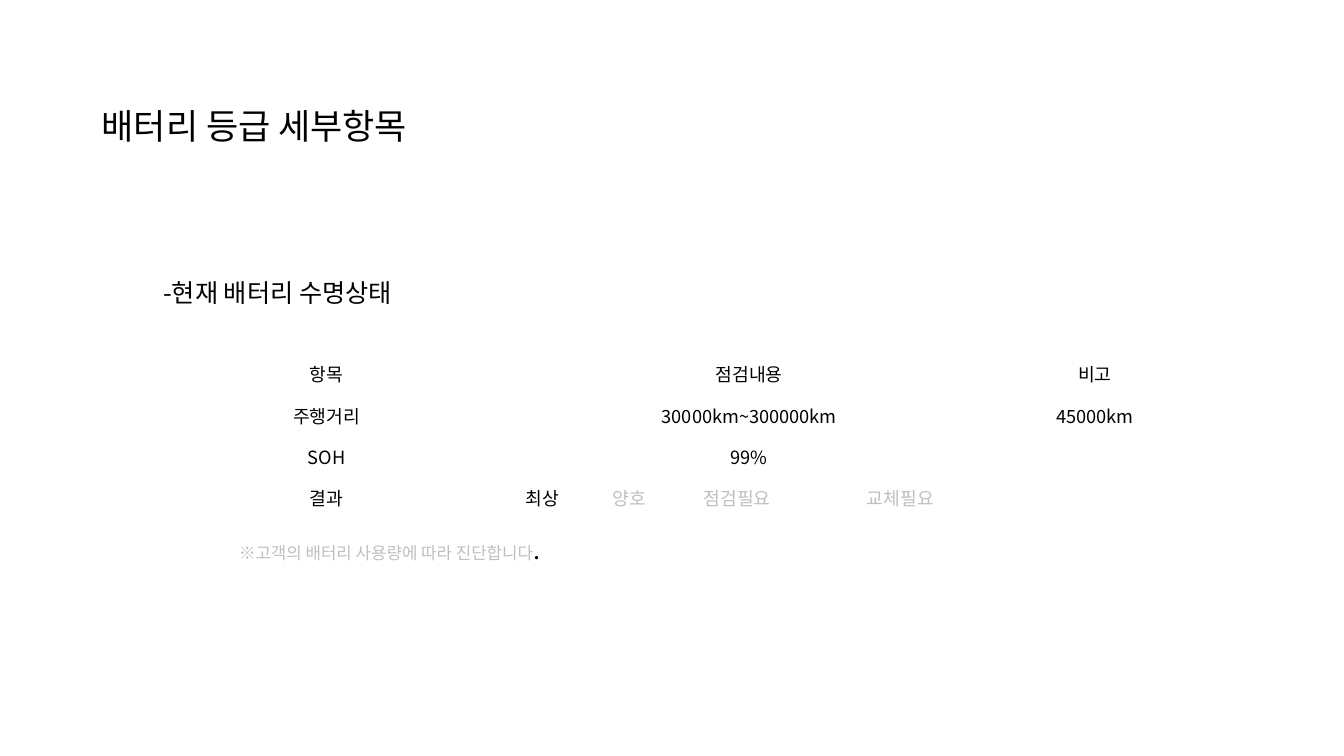
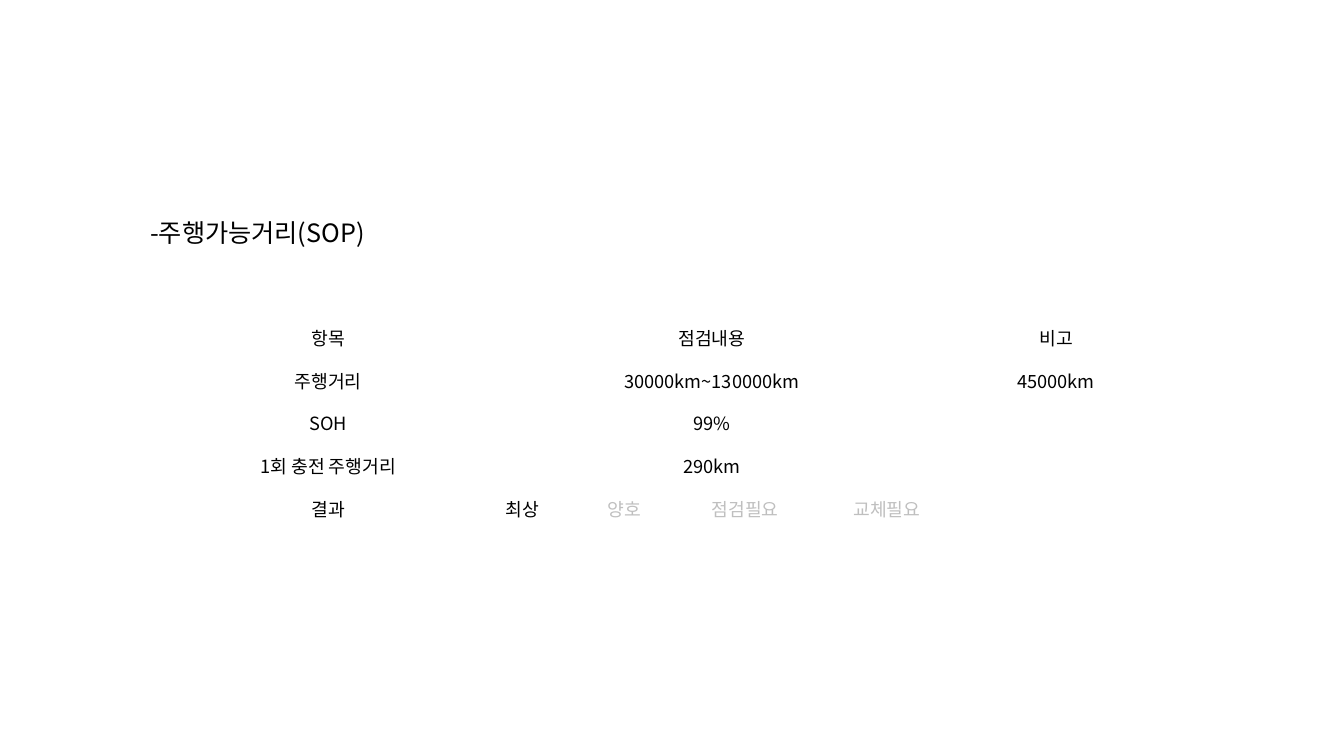
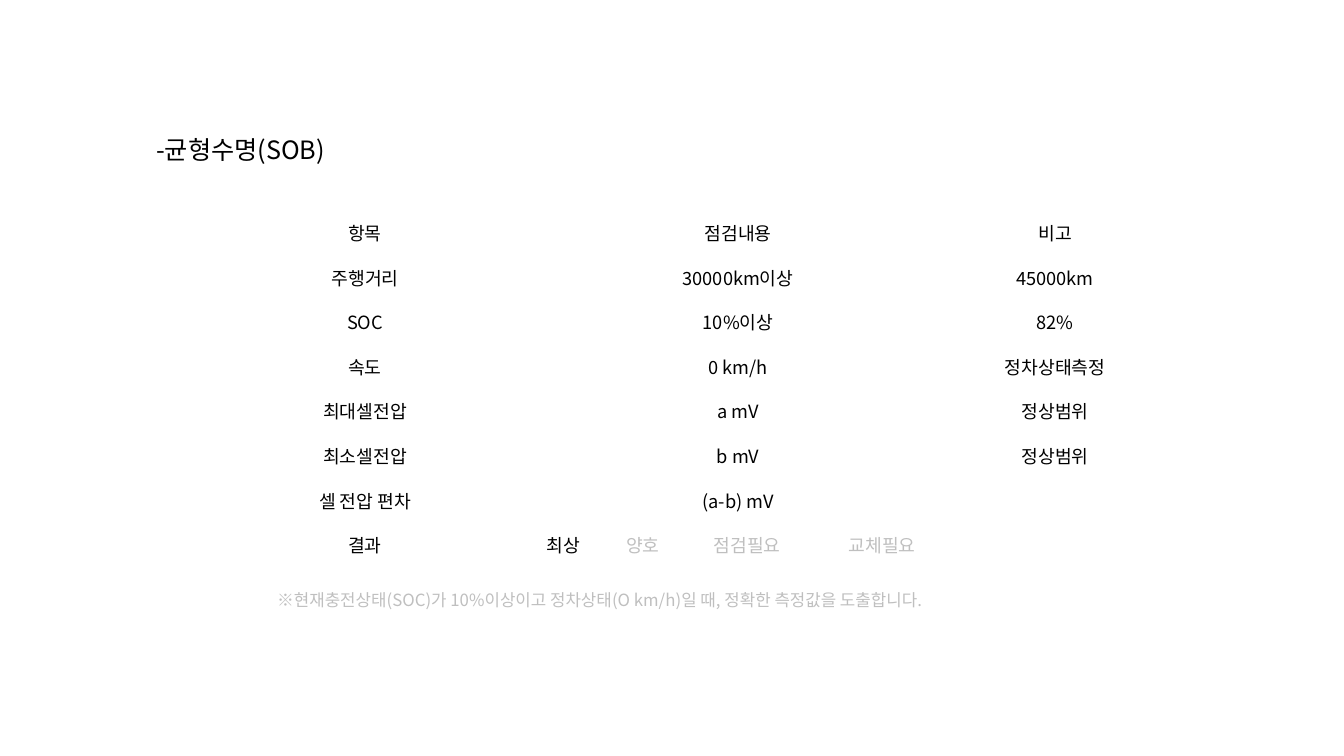
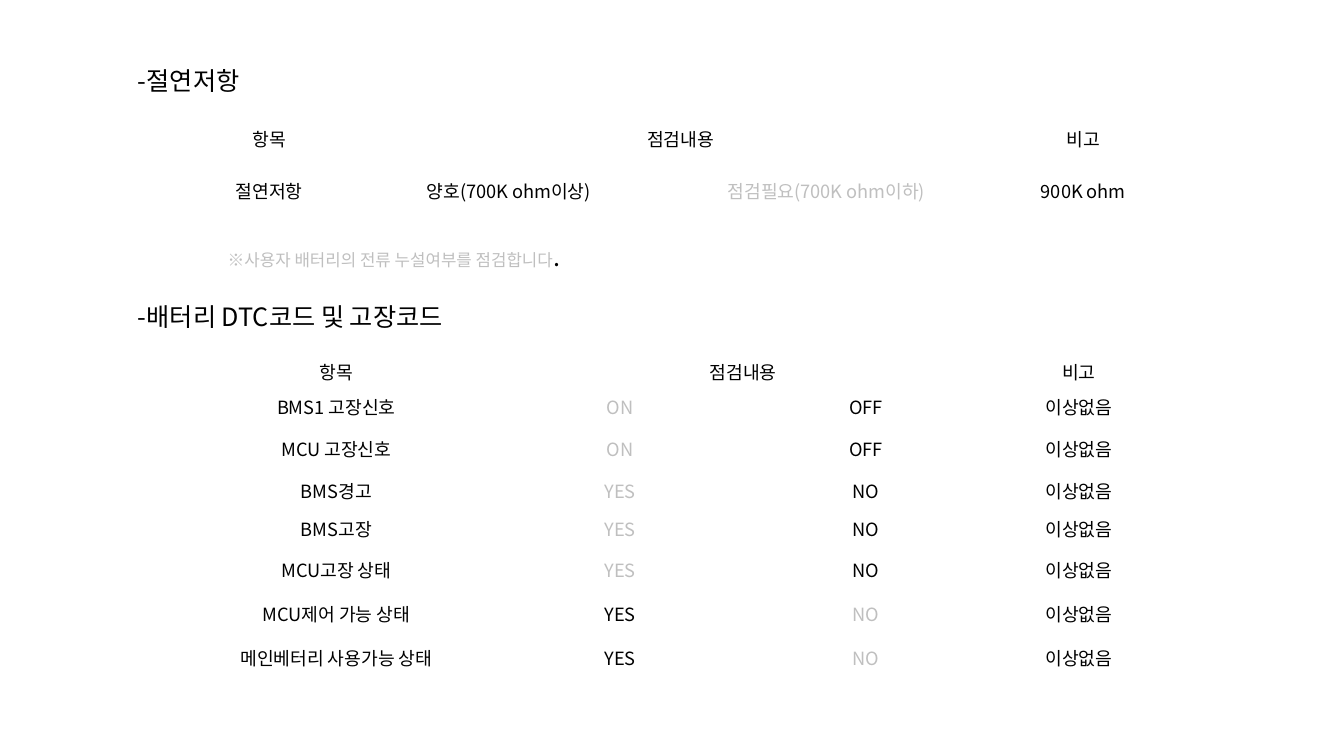
from lxml import etree
from pptx import Presentation
from pptx.dml.color import RGBColor
from pptx.enum.text import MSO_ANCHOR, MSO_AUTO_SIZE, PP_ALIGN
from pptx.oxml.ns import qn
from pptx.util import Inches, Pt

FONT = "Noto Sans CJK KR"
BLACK = RGBColor(0x00, 0x00, 0x00)
GREY = RGBColor(0xBF, 0xBF, 0xBF)
LEFT, CENTER = PP_ALIGN.LEFT, PP_ALIGN.CENTER
TOP, MIDDLE = MSO_ANCHOR.TOP, MSO_ANCHOR.MIDDLE
NO_FIT, GROW = MSO_AUTO_SIZE.NONE, MSO_AUTO_SIZE.SHAPE_TO_FIT_TEXT

# Wording shared by the tables
HEAD = ["항목", "점검내용", "비고"]
GRADES = ["결과", "최상", "양호", "점검필요", "교체필요", ""]
FINE = "이상없음"


def style(run, size, color=BLACK):
    run.font.size = Pt(size)
    run.font.name = FONT
    run.font.color.rgb = color
    etree.SubElement(run.font._element, qn("a:ea")).set("typeface", FONT)


def add_box(slide, box):
    shape = slide.shapes.add_textbox(*map(Inches, box))
    frame = shape.text_frame
    frame.word_wrap = True
    frame.auto_size = GROW
    return frame


def add_title(slide, box, text):
    title = slide.shapes.title
    title.left, title.top, title.width, title.height = map(Inches, box)
    frame = title.text_frame
    frame.text = text
    frame.auto_size = NO_FIT
    frame.vertical_anchor = MIDDLE
    line = frame.paragraphs[0]
    line.alignment = LEFT
    line.line_spacing = 0.9
    style(line.runs[0], 25)


def add_heading(slide, box, text, middle=False):
    frame = add_box(slide, box)
    frame.text = text
    line = frame.paragraphs[0]
    style(line.runs[0], 18)
    if middle:
        frame.auto_size = NO_FIT
        frame.vertical_anchor = MIDDLE
        line.line_spacing = 0.9


def add_note(slide, box, text, stop=""):
    """Grey remark, with an optional large black full stop."""
    frame = add_box(slide, box)
    frame.text = text
    line = frame.paragraphs[0]
    style(line.runs[0], 12, GREY)
    if stop:
        end = line.add_run()
        end.text = stop
        style(end, 18)


def add_grid(slide, left, top, widths, heights, rows, grey):
    """Table whose three-part rows spread the middle part over the inner columns."""
    last = len(widths) - 1
    frame = slide.shapes.add_table(
        len(rows), len(widths), Inches(left), Inches(top),
        Inches(sum(widths)), Inches(sum(heights)))
    table = frame.table
    table.first_row = table.horz_banding = False
    for col, width in zip(table.columns, widths):
        col.width = Inches(width)
    for row, height in zip(table.rows, heights):
        row.height = Inches(height)
    for cell in table.iter_cells():
        cell.fill.background()
        cell.vertical_anchor = TOP
    for r, words in enumerate(rows):
        spots = range(last + 1)
        if len(words) == 3:
            table.cell(r, 1).merge(table.cell(r, last - 1))
            spots = (0, 1, last)
        for c, word in zip(spots, words):
            line = table.cell(r, c).text_frame.paragraphs[0]
            line.alignment = CENTER
            line.font.size = Pt(13)
            if word:
                line.text = word
                style(line.runs[0], 13, GREY if (r, c) in grey else BLACK)


def add_check(slide, left, top, widths, heights, items):
    """Inspection table that ends with the row of grades."""
    rows = [HEAD, *items, GRADES]
    grey = {(len(rows) - 1, c) for c in (2, 3, 4)}
    add_grid(slide, left, top, widths, heights, rows, grey)


def life_slide(slide):
    add_title(slide, (0.91, 0.91, 11.5, 0.72), "배터리 등급 세부항목")
    add_heading(slide, (1.52, 2.7, 5.36, 0.4), "-현재 배터리 수명상태")
    add_check(slide, 1.53, 3.53, [3.42, 0.86, 0.86, 1.28, 1.96, 1.9],
              [0.41] * 3 + [0.39],
              [["주행거리", "30000km~300000km", "45000km"],
               ["SOH", "99%", ""]])
    add_note(slide, (2.27, 5.25, 9.23, 0.4),
             "※고객의 배터리 사용량에 따라 진단합니다", ".")


def range_slide(slide):
    add_heading(slide, (1.39, 2.11, 9.25, 0.4), "-주행가능거리(SOP)")
    add_check(slide, 1.87, 3.17, [2.77, 1.08, 0.95, 1.44, 1.37, 1.99],
              [0.424] * 5,
              [["주행거리", "30000km~130000km", "45000km"],
               ["SOH", "99%", ""],
               ["1회 충전 주행거리", "290km", ""]])


def balance_slide(slide):
    add_heading(slide, (1.45, 1.28, 8.75, 0.4), "-균형수명(SOB)")
    add_check(slide, 2.05, 2.13, [3.14, 0.79, 0.79, 1.28, 1.4, 2.03],
              [3.54 / 8] * 8,
              [["주행거리", "30000km이상", "45000km"],
               ["SOC", "10%이상", "82%"],
               ["속도", "0 km/h", "정차상태측정"],
               ["최대셀전압", "a mV", "정상범위"],
               ["최소셀전압", "b mV", "정상범위"],
               ["셀 전압 편차", "(a-b) mV", ""]])
    add_note(slide, (2.65, 5.8, 8.29, 0.3),
             "※현재충전상태(SOC)가 10%이상이고 정차상태(O km/h)일 때, "
             "정확한 측정값을 도출합니다.")


def fault_slide(slide):
    # Insulation resistance
    add_heading(slide, (1.27, 0.6, 8.75, 0.4), "-절연저항")
    add_grid(slide, 1.74, 1.19, [1.86, 2.89, 3.41, 1.69], [0.52, 0.54],
             [HEAD, ["절연저항", "양호(700K ohm이상)",
                     "점검필요(700K ohm이하)", "900K ohm"]],
             {(1, 2)})
    add_note(slide, (2.16, 2.34, 8.59, 0.42),
             "※사용자 배터리의 전류 누설여부를 점검합니다", ".")
    # Fault codes: the state that does not apply is grey
    add_heading(slide, (1.27, 2.88, 8.59, 0.55),
                "-배터리 DTC코드 및 고장코드", middle=True)
    codes = [("BMS1 고장신호", "ON", "OFF"), ("MCU 고장신호", "ON", "OFF"),
             ("BMS경고", "YES", "NO"), ("BMS고장", "YES", "NO"),
             ("MCU고장 상태", "YES", "NO"), ("MCU제어 가능 상태", "YES", "NO"),
             ("메인베터리 사용가능 상태", "YES", "NO")]
    grey = {(r, 1 if r < 6 else 2) for r in range(1, 8)}
    add_grid(slide, 1.74, 3.51, [3.19, 2.44, 2.44, 1.78],
             [0.34, 0.42, 0.42, 0.38, 0.4, 0.44, 0.44, 0.44],
             [HEAD] + [[*code, FINE] for code in codes], grey)


def main():
    deck = Presentation()
    deck.slide_width, deck.slide_height = Inches(13.33), Inches(7.5)
    titled, blank = deck.slide_layouts[5], deck.slide_layouts[6]
    for build, layout in ((life_slide, titled), (range_slide, blank),
                          (balance_slide, blank), (fault_slide, blank)):
        build(deck.slides.add_slide(layout))
    deck.save("out.pptx")


if __name__ == "__main__":
    main()
